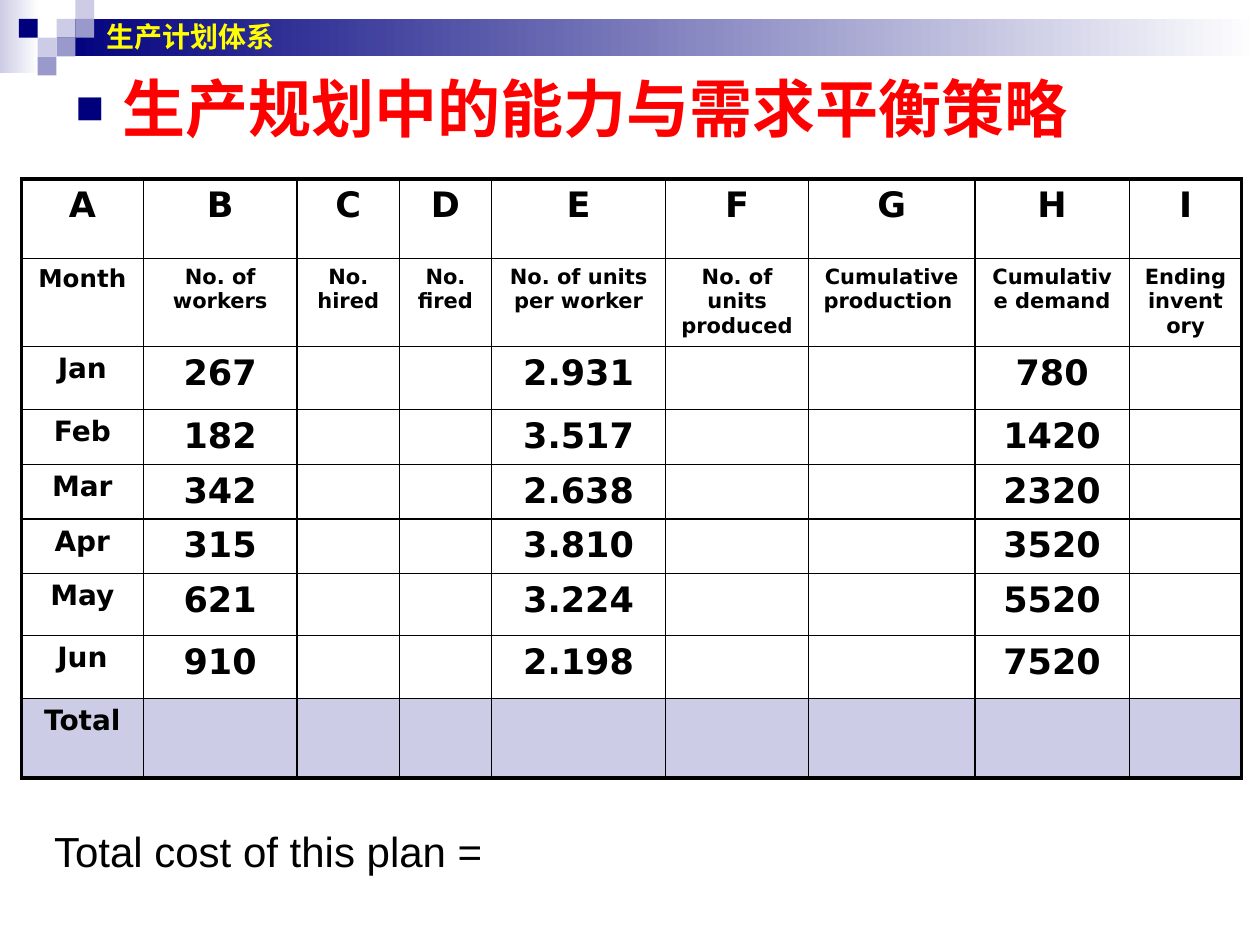
import pptx
import pptx.dml.color
import pptx.enum.shapes
import pptx.enum.text
import pptx.oxml.ns
import pptx.util
from lxml import etree

Cm, Pt = pptx.util.Cm, pptx.util.Pt
ALIGN = pptx.enum.text.PP_ALIGN
ANCHOR = pptx.enum.text.MSO_ANCHOR
AUTO = pptx.enum.text.MSO_AUTO_SIZE
qn = pptx.oxml.ns.qn

NAVY, VIOLET, LILAC, WHITE = "00007D", "9999CC", "CCCCE6", "FFFFFF"
BLACK, RED, YELLOW = "000000", "FF0000", "FFFF00"


def rgb(value):
    return pptx.dml.color.RGBColor.from_string(value)


class Deck:
    """Holds the table style and the current slide."""
    table_font = "DejaVu Sans"
    inner, outer = 1, 2.25

    def __init__(self, prs):
        self.s = prs.slides.add_slide(prs.slide_layouts[1])

    def rect(self, x, y, w, h, *colors):
        sp = self.s.shapes.add_shape(
            pptx.enum.shapes.MSO_SHAPE.RECTANGLE, Cm(x), Cm(y), Cm(w), Cm(h))
        sp.shadow.inherit = False
        sp.line.fill.background()
        if len(colors) == 1:
            sp.fill.solid()
            sp.fill.fore_color.rgb = rgb(colors[0])
        else:
            sp.fill.gradient()
            sp.fill.gradient_angle = 0
            for stop, color in zip(sp.fill.gradient_stops, colors):
                stop.color.rgb = rgb(color)

    def add_text(self, p, text, size, font, color, bold=False, align=ALIGN.LEFT):
        p.alignment = align
        p.space_before = Pt(0)
        r = p.add_run()
        r.text = text
        r.font.size, r.font.name, r.font.bold = Pt(size), font, bold
        r.font.color.rgb = rgb(color)

    def place(self, sp, x, y, w, h, anchor):
        """Position a text shape in front of the others; return its paragraph."""
        sp.left, sp.top, sp.width, sp.height = Cm(x), Cm(y), Cm(w), Cm(h)
        self.s.shapes._spTree.append(sp._element)
        tf = sp.text_frame
        tf.word_wrap = True
        tf.auto_size = AUTO.NONE
        tf.vertical_anchor = anchor
        return tf.paragraphs[0]

    def title(self, text, *box):
        p = self.place(self.s.shapes.title, *box, ANCHOR.MIDDLE)
        self.add_text(p, text, 16, "Arial", YELLOW, True)

    def bullet(self, text, *box):
        p = self.place(self.s.placeholders[1], *box, ANCHOR.TOP)
        pPr = p._p.get_or_add_pPr()
        pPr.set("marL", str(Cm(0.95)))
        pPr.set("indent", str(-Cm(0.95)))
        clr = etree.SubElement(pPr, qn("a:buClr"))
        etree.SubElement(clr, qn("a:srgbClr"), val=NAVY)
        etree.SubElement(pPr, qn("a:buSzPct"), val="75000")
        etree.SubElement(pPr, qn("a:buFont"), typeface="Arial")
        etree.SubElement(pPr, qn("a:buChar"), char="■")
        self.add_text(p, text, 36, "Times New Roman", RED, True)

    def note(self, text, *box):
        sp = self.s.shapes.add_textbox(0, 0, 0, 0)
        p = self.place(sp, *box, ANCHOR.TOP)
        sp.text_frame.auto_size = AUTO.SHAPE_TO_FIT_TEXT
        self.add_text(p, text, 24, "Arial", BLACK)

    def borders(self, cell, widths):
        tcPr = cell._tc.get_or_add_tcPr()
        for i, (side, width) in enumerate(zip("LRTB", widths)):
            ln = etree.Element(qn("a:ln" + side), w=str(Pt(width)))
            fill = etree.SubElement(ln, qn("a:solidFill"))
            etree.SubElement(fill, qn("a:srgbClr"), val=BLACK)
            tcPr.insert(i, ln)

    def table(self, x, y, cols, heights, rows, size_of):
        tbl = self.s.shapes.add_table(
            len(rows), len(cols), Cm(x), Cm(y),
            Cm(sum(cols)), Cm(sum(heights))).table
        tbl.first_row = tbl.horz_banding = False
        for col, width in zip(tbl.columns, cols):
            col.width = Cm(width)
        for row, height in zip(tbl.rows, heights):
            row.height = Cm(height)
        last_row, last_col = len(rows) - 1, len(cols) - 1
        for i, row in enumerate(rows):
            for j, text in enumerate(row):
                cell = tbl.cell(i, j)
                if i == last_row:
                    cell.fill.solid()
                    cell.fill.fore_color.rgb = rgb(LILAC)
                else:
                    cell.fill.background()
                edges = (j == 0, j == last_col, i == 0, i == last_row)
                self.borders(cell, [self.outer if e else self.inner for e in edges])
                if text:
                    self.add_text(cell.text_frame.paragraphs[0], text, size_of(i, j),
                                  self.table_font, BLACK, True, ALIGN.CENTER)


def text_size(i, j):
    if i == 1:
        return 12 if j else 14
    return 20 if i == 0 or j else 16


def main():
    prs = pptx.Presentation()
    prs.slide_width, prs.slide_height = Cm(25.4), Cm(19.05)
    deck = Deck(prs)

    # Banner and its mosaic of squares (column, row, colour)
    unit = 0.38
    deck.rect(0, 0, 0.79, 1.47, LILAC, WHITE)
    deck.rect(3 * unit, unit, 25.4 - 3 * unit, 2 * unit, NAVY, WHITE)
    for col, row, color in [(3, 1, LILAC), (4, 0, LILAC), (4, 1, VIOLET),
                            (2, 2, LILAC), (1, 1, NAVY), (3, 2, VIOLET),
                            (2, 3, VIOLET)]:
        deck.rect(col * unit, row * unit, unit, unit, color)

    # Production plan table
    plan = [("Jan", "267", "2.931", "780"), ("Feb", "182", "3.517", "1420"),
            ("Mar", "342", "2.638", "2320"), ("Apr", "315", "3.810", "3520"),
            ("May", "621", "3.224", "5520"), ("Jun", "910", "2.198", "7520")]
    rows = [list("ABCDEFGHI"),
            ["Month", "No. of workers", "No. hired", "No. fired",
             "No. of units per worker", "No. of units produced",
             "Cumulative production ", "Cumulative demand", "Ending inventory"]]
    rows += [[month, workers, "", "", units, "", "", demand, ""]
             for month, workers, units, demand in plan]
    rows.append(["Total"] + [""] * 8)
    deck.table(0.43, 3.61,
               [2.46, 3.1, 2.06, 1.86, 3.51, 2.88, 3.35, 3.12, 2.26],
               [1.6, 1.78, 1.27, 1.1, 1.1, 1.1, 1.25, 1.27, 1.6],
               rows, text_size)

    # Texts
    deck.note("Total cost of this plan =", 0.84, 16.51, 23.39, 1.27)
    deck.bullet("生产规划中的能力与需求平衡策略", 1.27, 1.27, 22.86, 3.81)
    deck.title("生产计划体系", 1.9, 0, 22.43, 1.47)

    prs.save("out.pptx")


if __name__ == "__main__":
    main()
